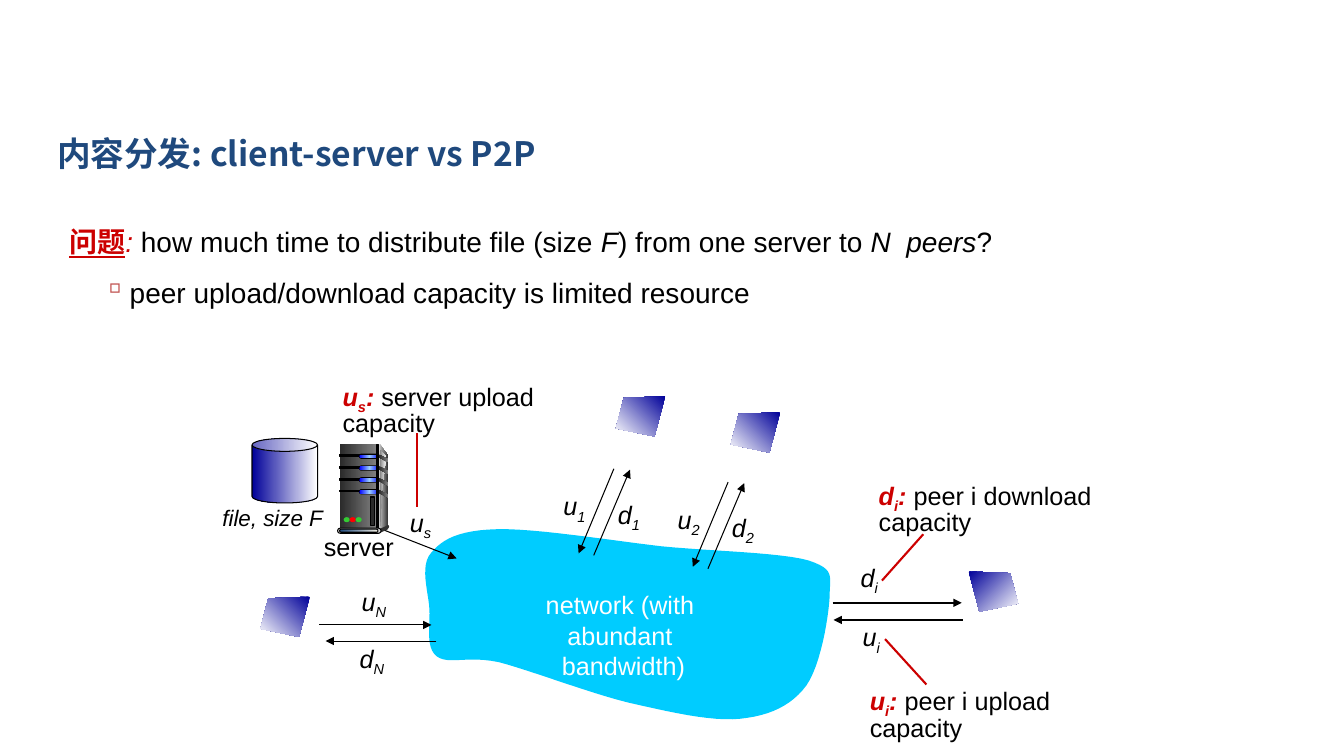
from lxml import etree
from pptx import Presentation
from pptx.dml.color import RGBColor
from pptx.enum import shapes, text
from pptx.oxml import ns
from pptx.util import Pt

# ---- Content (all lengths in points) ----
BLACK, WHITE, RED, NAVY, GREY = "000000", "FFFFFF", "CC0000", "000099", "333333"
TITLE = "内容分发: client-server vs P2P"
ITALIC, PLAIN = {"italic": True}, {}
QUESTION = [("问题", {"color": RED, "bold": True, "underline": True}),
            (":", {"color": RED, "italic": True}),
            (" how much time to distribute file (size ", PLAIN), ("F", ITALIC),
            (") from one server to ", PLAIN), ("N  peers", ITALIC), ("?", PLAIN)]
BULLET = "peer upload/download capacity is limited resource"

# Start point, then cubic segments (two controls and an end)
CLOUD_START = (355, 378)
CLOUD = [
    ((327.6, 378.7), (316.1, 385.2), (308.2, 394.6)),
    ((299.5, 403.9), (306, 422.6), (306.7, 434.9)),
    ((307.4, 447.1), (303.8, 462.2), (311.8, 468.7)),
    ((320.4, 475.2), (333.4, 468), (356.4, 473)),
    ((378.7, 478.8), (419.8, 494.6), (448.6, 501.8)),
    ((477.4, 508.3), (507.6, 515.5), (528.5, 513.4)),
    ((550.1, 511.2), (565.2, 504), (576, 489.6)),
    ((586.1, 475.2), (591.8, 441.4), (592.6, 426.2)),
    ((592.6, 411.1), (596.9, 406.8), (577.4, 400.3)),
    ((557.3, 394.6), (509, 393.8), (472.3, 390.2)),
    ((435.6, 385.9), (382.3, 377.3), CLOUD_START),
]
# Letter, subscript, left, top
RATES = [("u", "s", 285.8, 358.6), ("u", "N", 251.3, 415.4), ("d", "N", 249.8, 455.8),
         ("d", "i", 607.7, 398.2), ("u", "i", 609.1, 440.6)]
# Letter, subscript, explanation, left, top, width
CAPTIONS = [("u", "s", " server upload capacity", 237.6, 270, 158),
            ("u", "i", " peer i upload capacity", 614.2, 487.4, 180),
            ("d", "i", " peer i download capacity", 620.6, 340.6, 167)]
# Start, end, width
ARROWS = [((263.5, 374.4), (326.2, 398.9), 0.75), ((228.2, 446.4), (308.2, 446.4), 0.75),
          ((311.8, 457.9), (232.6, 457.9), 0.75), ((594.7, 430.6), (686.9, 430.6), 1.5),
          ((687.6, 442.8), (595.4, 442.8), 1.5)]
POINTERS = [((298.1, 309.6), (298.1, 362.2)), ((659.5, 381.6), (630, 414.7)),
            ((661.7, 488.9), (632.2, 456.5))]
# Number and shift of each upper peer's pair of links
UPPER_PEERS = [("1", 0, 0), ("2", 81.6, 9.6)]
# Left, top, mirrored
COMPUTERS = [(186, 426.2, True), (439.9, 283, True), (522, 294.5, True), (691.9, 408.2, False)]
COMPUTER_OUTLINE = [(0, 0), (29.7, 1.2), (35.3, 23), (7.7, 28.8)]
COMPUTER_WIDTH = 35.3

# Server colours
DARK = [(0, "292929"), (100, "808080")]
LAMP = [(0, "0000FF"), (50, "99CCFF"), (100, "0000FF")]
SLOT_TOP, SLOT_STEP, SLOT_COUNT = 324.7, 8.45, 4

presentation = Presentation()
presentation.slide_width, presentation.slide_height = Pt(960), Pt(540)
slide = presentation.slides.add_slide(presentation.slide_layouts[6])


# ---- Helpers ----
def rgb(value):
    return RGBColor.from_string(value)


def add_child(parent, tag, **attributes):
    child = etree.SubElement(parent, ns.qn(tag))
    for name, value in attributes.items():
        child.set(name, str(value))
    return child


def paint(shape, fill, line=None, angle=0):
    """Fill with a hex colour, or with a list of (percent, hex) stops."""
    shape.shadow.inherit = False
    if isinstance(fill, str):
        shape.fill.solid()
        shape.fill.fore_color.rgb = rgb(fill)
    else:
        shape.fill.background()
        empty = shape._element.spPr.find(ns.qn("a:noFill"))
        gradient = etree.Element(ns.qn("a:gradFill"), rotWithShape="1")
        stops = add_child(gradient, "a:gsLst")
        for percent, color in fill:
            add_child(add_child(stops, "a:gs", pos=percent * 1000), "a:srgbClr", val=color)
        add_child(gradient, "a:lin", ang=angle * 60000, scaled=0)
        shape._element.spPr.replace(empty, gradient)
    if line:
        shape.line.color.rgb = rgb(line)
        shape.line.width = Pt(0.75)
    else:
        shape.line.fill.background()


def add_preset(kind, left, top, width, height, fill, line=None, adjust=None):
    shape = slide.shapes.add_shape(kind, Pt(left), Pt(top), Pt(width), Pt(height))
    if adjust is not None:
        shape.adjustments[0] = adjust
    paint(shape, fill, line)


def add_outline(points, fill, angle=0):
    points = [(Pt(x), Pt(y)) for x, y in points]
    builder = slide.shapes.build_freeform(*points[0])
    builder.add_line_segments(points[1:], close=True)
    paint(builder.convert_to_shape(), fill, angle=angle)


def add_line(start, end, color=BLACK, width=0.75, arrow=True):
    line = slide.shapes.add_connector(shapes.MSO_CONNECTOR.STRAIGHT,
                                      *(Pt(value) for value in start + end))
    line.line.color.rgb = rgb(color)
    line.line.width = Pt(width)
    if arrow:
        add_child(line.line._get_or_add_ln(), "a:tailEnd", type="triangle")
    add_child(line._element.spPr, "a:effectLst")


def add_runs(paragraph, runs, size=18, color=BLACK, font="Arial"):
    for words, style in runs:
        run = paragraph.add_run()
        run.text = words
        run.font.size, run.font.name = Pt(size), font
        run.font.color.rgb = rgb(style.get("color", color))
        run.font.bold = style.get("bold", False)
        run.font.italic = style.get("italic", False)
        run.font.underline = style.get("underline", False)
        properties = run._r.get_or_add_rPr()
        add_child(properties, "a:ea", typeface="Noto Sans CJK SC")
        if style.get("subscript"):
            properties.set("baseline", "-25000")


def add_text(paragraphs, left, top, width, height=28.8, align="LEFT", anchor="TOP",
             spacing=None, wrap=True, **font):
    frame = slide.shapes.add_textbox(Pt(left), Pt(top), Pt(width), Pt(height)).text_frame
    frame.word_wrap = wrap
    frame.vertical_anchor = getattr(text.MSO_ANCHOR, anchor)
    for index, runs in enumerate(paragraphs):
        paragraph = frame.add_paragraph() if index else frame.paragraphs[0]
        paragraph.alignment = getattr(text.PP_ALIGN, align)
        paragraph.line_spacing = spacing
        add_runs(paragraph, runs, **font)
    return frame


def add_rate(letter, subscript, left, top):
    runs = [(letter, ITALIC), (subscript, {"italic": True, "subscript": True})]
    add_text([runs], left, top, 48.2)


def bezier(start, first, second, end, steps=12):
    for step in range(1, steps + 1):
        t = step / steps
        weights = ((1 - t) ** 3, 3 * t * (1 - t) ** 2, 3 * t * t * (1 - t), t ** 3)
        yield tuple(sum(w * p[axis] for w, p in zip(weights, (start, first, second, end)))
                    for axis in (0, 1))


# ---- Title and question ----
add_text([[(TITLE, {"bold": True})]], 33.8, 77.8, 864, 63.4, anchor="MIDDLE",
         size=24, color="1F497D", font="Noto Sans CJK SC")
body = add_text([QUESTION, [(BULLET, PLAIN)]], 33.8, 157, 877.7, 41.8, size=20)
for paragraph, margin, indent in zip(body.paragraphs, (28.8, 51.8), (-20.2, -19.4)):
    paragraph.space_after = Pt(6)
    properties = paragraph._p.get_or_add_pPr()
    properties.set("marL", str(Pt(margin)))
    properties.set("indent", str(Pt(indent)))
paragraph.space_before = Pt(6)
add_child(add_child(properties, "a:buClr"), "a:srgbClr", val="C0504D")
add_child(properties, "a:buChar", char="▫")

# ---- Network cloud ----
cloud_points = [CLOUD_START]
for segment in CLOUD:
    cloud_points.extend(bezier(cloud_points[-1], *segment))
add_outline(cloud_points, "00CCFF")
add_text([[("network (with abundant", PLAIN)], [(" bandwidth)", PLAIN)]],
         342.7, 417.6, 200.2, 50.4, align="CENTER", wrap=False, color=WHITE)

# ---- Links and labels ----
for start, end, width in ARROWS:
    add_line(start, end, width=width)
for rate in RATES:
    add_rate(*rate)
for number, dx, dy in UPPER_PEERS:
    add_rate("u", number, 395.3 + dx, 347 + dy)
    add_rate("d", number, 434.2 + dx, 352.8 + dy)
    add_line((438.5 + dx, 334.8 + dy), (413.3 + dx, 395.3 + dy))
    add_line((424.1 + dx, 396.7 + dy), (450 + dx, 335.5 + dy))
for letter, subscript, explanation, left, top, width in CAPTIONS:
    strong = {"color": RED, "bold": True, "italic": True}
    add_text([[(letter, strong), (subscript, {**strong, "subscript": True}),
               (":", strong), (explanation, PLAIN)]], left, top, width, 44, spacing=0.85)
for start, end in POINTERS:
    add_line(start, end, RED, 1.5, arrow=False)
add_text([[("server", PLAIN)]], 210.2, 375.8, 92.2, align="CENTER")
add_text([[("file, size F", ITALIC)]], 139.7, 356.4, 110.2, align="CENTER", size=16)

# ---- File and server ----
kinds = shapes.MSO_SHAPE
RECTANGLE, PILL, DOT = kinds.RECTANGLE, kinds.ROUNDED_RECTANGLE, kinds.OVAL
add_preset(kinds.CAN, 180, 313.2, 46.8, 46.1, [(0, NAVY), (100, WHITE)], BLACK, 0.2)
add_outline([(271.4, 317.5), (277.2, 325.4), (277.2, 375.8), (270, 378)],
            [(0, "DDDDDD"), (100, GREY)])
add_preset(RECTANGLE, 242.6, 317.5, 26.6, 60.5, DARK)
add_outline([(271.4, 321.1), (275.8, 326.2), (272.9, 350), (271.4, 376.6)],
            [(0, "808080"), (100, "F8F8F8")])
for slot in range(SLOT_COUNT):
    y = SLOT_TOP + slot * SLOT_STEP
    add_preset(RECTANGLE, 242.8, y, 15.1, 1.4, BLACK, BLACK)
    add_preset(PILL, 256.3, y - 0.7, 15.1, 3.8, BLACK, adjust=0.5)
    add_preset(PILL, 256.8, y, 14.4, 2.7, LAMP, adjust=0.5)
    add_outline([(270.7, y), (277.2, y + 3.2), (277.2, y + 5.4), (270.7, y + 2.1)], DARK)
add_preset(RECTANGLE, 269.3, 317.5, 1.4, 60.5,
           [(0, GREY), (50, "DDDDDD"), (100, GREY)], BLACK)
add_preset(DOT, 276.5, 375.1, 1.4, 2.2, GREY)
add_outline([(270.7, 378), (270.7, 380.9), (277.2, 378), (277.2, 375.1)], GREY)
add_preset(PILL, 241.2, 377.3, 31, 3.6, "DDDDDD", BLACK, 0.5)
add_preset(PILL, 242.6, 378, 27.4, 2.2, [(0, "1F497D"), (100, "EEECE1")], BLACK, 0.5)
for index, color in enumerate(("33CC33", "FF0000", "33CC33")):
    add_preset(DOT, 245.5 + 4.3 * index, 369.4, 4.3, 3.6, color)
add_preset(RECTANGLE, 265, 355, 2.2, 20.2, "292929", BLACK)

# ---- Peer computers ----
for left, top, mirrored in COMPUTERS:
    points = [(left + (COMPUTER_WIDTH - x if mirrored else x), top + y)
              for x, y in COMPUTER_OUTLINE]
    add_outline(points, [(0, NAVY), (100, WHITE)], 135 if mirrored else 45)

presentation.save("out.pptx")
